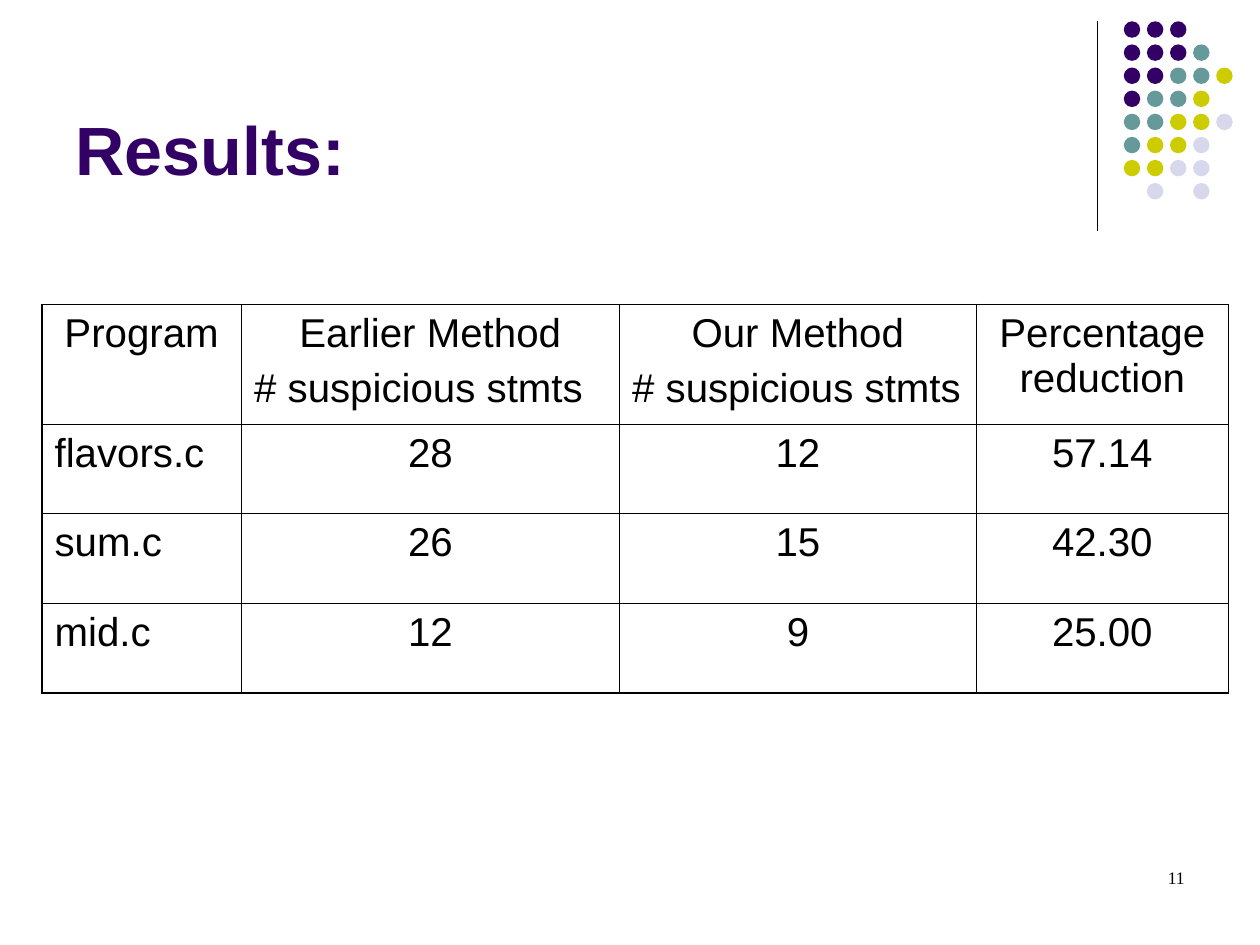
"""Builds the results slide comparing suspicious statement counts per program."""
import pptx
import pptx.dml.color
import pptx.enum.shapes
import pptx.enum.text
import pptx.oxml
import pptx.oxml.ns
import pptx.util

Pt = pptx.util.Pt
ALIGN = pptx.enum.text.PP_ALIGN
SHAPES = pptx.enum.shapes

TITLE = "Results:"
PAGE_NUMBER = "11"
ROWS = [
    ["Program", "Earlier Method\n# suspicious stmts",
     "Our Method\n# suspicious stmts", "Percentage reduction"],
    ["flavors.c", "28", "12", "57.14"],
    ["sum.c", "26", "15", "42.30"],
    ["mid.c", "12", "9", "25.00"],
]
DOT_ROWS = ["PPP", "PPPT", "PPTTY", "PTTY", "TTYYL", "TYYL", "YYLL", " L L"]

THEME = {
    "font": "Arial",
    "number_font": "Times New Roman",
    "title_size": 39,
    "table_size": 23,
    "number_size": 10,
    "title": "330066",
    "text": "000000",
    "dots": {"P": "330066", "T": "669999", "Y": "CCCC00", "L": "D8D8EC"},
}

TITLE_BOX = (36, 9.4, 594, 102.2)
NUMBER_BOX = (516, 492, 168, 36)
TABLE_ORIGIN = (24, 174)
COLUMN_WIDTHS = [114, 216, 204, 144]
ROW_HEIGHTS = [68.4, 51.2, 51.2, 51.2]
PARAGRAPH_GAP = 5.8
OUTER_BORDER, INNER_BORDER = 1.08, 0.45
DIVIDER = (627.1, 12.2, 627.1, 131.8)
DOT_ORIGIN, DOT_PITCH, DOT_SIZE = (642.2, 12.2), 13.2, 9.4


def points(values):
    return [Pt(value) for value in values]


def color(value):
    return pptx.dml.color.RGBColor.from_string(value)


def format_paragraph(paragraph, font, size, text_color, alignment, bold=False):
    paragraph.alignment = alignment
    paragraph.font.name = font
    paragraph.font.size = Pt(size)
    paragraph.font.color.rgb = color(text_color)
    paragraph.font.bold = bold


def add_divider(slide):
    straight = SHAPES.MSO_CONNECTOR.STRAIGHT
    divider = slide.shapes.add_connector(straight, *points(DIVIDER))
    divider.line.color.rgb = color(THEME["text"])
    divider.line.width = Pt(0.75)
    properties = divider._element.spPr
    properties.append(pptx.oxml.parse_xml(
        f'<a:effectLst {pptx.oxml.ns.nsdecls("a")}/>'))


def add_dots(slide):
    left, top = DOT_ORIGIN
    for row, keys in enumerate(DOT_ROWS):
        for column, key in enumerate(keys):
            if key == " ":
                continue
            box = (left + column * DOT_PITCH, top + row * DOT_PITCH, DOT_SIZE, DOT_SIZE)
            dot = slide.shapes.add_shape(SHAPES.MSO_SHAPE.OVAL, *points(box))
            dot.shadow.inherit = False
            dot.fill.solid()
            dot.fill.fore_color.rgb = color(THEME["dots"][key])
            dot.line.fill.background()


def add_title(slide):
    title = slide.shapes.title
    title.left, title.top, title.width, title.height = points(TITLE_BOX)
    frame = title.text_frame
    frame.text = TITLE
    frame.vertical_anchor = pptx.enum.text.MSO_ANCHOR.BOTTOM
    frame.auto_size = pptx.enum.text.MSO_AUTO_SIZE.NONE
    format_paragraph(frame.paragraphs[0], THEME["font"], THEME["title_size"],
                     THEME["title"], ALIGN.LEFT, bold=True)


def set_borders(cell, row, column):
    edges = {
        "L": column == 0,
        "R": column == len(COLUMN_WIDTHS) - 1,
        "T": row == 0,
        "B": row == len(ROW_HEIGHTS) - 1,
    }
    properties = cell._tc.get_or_add_tcPr()
    for position, (side, is_outer) in enumerate(edges.items()):
        width = Pt(OUTER_BORDER if is_outer else INNER_BORDER)
        properties.insert(position, pptx.oxml.parse_xml(
            f'<a:ln{side} {pptx.oxml.ns.nsdecls("a")} w="{width}"><a:solidFill>'
            f'<a:srgbClr val="{THEME["text"]}"/></a:solidFill></a:ln{side}>'))


def fill_cell(cell, text, row, column):
    cell.text = text
    cell.fill.background()
    set_borders(cell, row, column)
    for index, paragraph in enumerate(cell.text_frame.paragraphs):
        is_left = index > 0 or (row > 0 and column == 0)
        format_paragraph(paragraph, THEME["font"], THEME["table_size"],
                         THEME["text"], ALIGN.LEFT if is_left else ALIGN.CENTER)
        if index:
            paragraph.space_before = Pt(PARAGRAPH_GAP)


def add_results_table(slide):
    size = (sum(COLUMN_WIDTHS), sum(ROW_HEIGHTS))
    table = slide.shapes.add_table(
        len(ROWS), len(COLUMN_WIDTHS), *points(TABLE_ORIGIN + size)).table
    table.first_row = table.horz_banding = False
    for column, width in zip(table.columns, COLUMN_WIDTHS):
        column.width = Pt(width)
    for row, height in zip(table.rows, ROW_HEIGHTS):
        row.height = Pt(height)
    for row, texts in enumerate(ROWS):
        for column, text in enumerate(texts):
            fill_cell(table.cell(row, column), text, row, column)


def add_page_number(slide):
    frame = slide.shapes.add_textbox(*points(NUMBER_BOX)).text_frame
    frame.word_wrap = True
    frame.text = PAGE_NUMBER
    format_paragraph(frame.paragraphs[0], THEME["number_font"],
                     THEME["number_size"], THEME["text"], ALIGN.RIGHT)


def main():
    presentation = pptx.Presentation()
    presentation.slide_width, presentation.slide_height = points((720, 540))
    slide = presentation.slides.add_slide(presentation.slide_layouts[5])
    add_divider(slide)
    add_dots(slide)
    add_title(slide)
    add_results_table(slide)
    add_page_number(slide)
    presentation.save("out.pptx")


if __name__ == "__main__":
    main()
